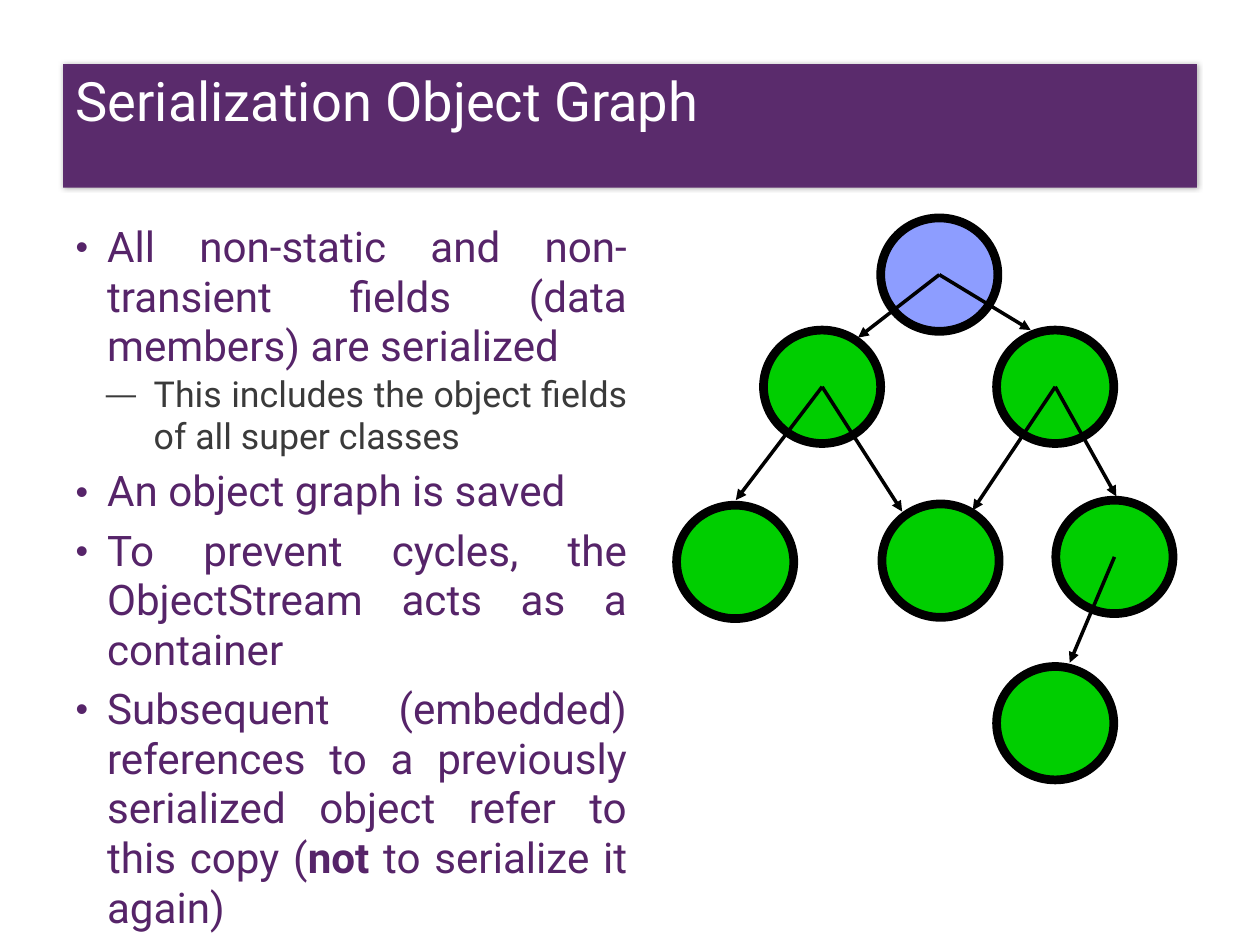
"""Build the Serialization Object Graph slide."""
from lxml.etree import SubElement
from pptx import Presentation
from pptx.dml.color import RGBColor as RGB
from pptx.enum.shapes import MSO_CONNECTOR as CONN, MSO_SHAPE as SHAPE
from pptx.enum.text import MSO_ANCHOR as ANCHOR, MSO_AUTO_SIZE as AUTO, PP_ALIGN as ALIGN
from pptx.oxml.ns import qn
from pptx.util import Inches, Pt

TITLE = "Serialization Object Graph"
BULLETS = [
    (0, ["All non-static and non-transient fields (data members) are serialized"]),
    (1, ["This includes the object fields of all super classes"]),
    (0, ["An object graph is saved"]),
    (0, ["To prevent cycles, the ObjectStream acts as a container"]),
    (0, ["Subsequent (embedded) references to a previously serialized object "
         "refer to this copy (", "not", " to serialize it again)"]),
]
NODES = {
    "root": (6.99, 1.73),
    "left": (6.06, 2.62),
    "right": (7.91, 2.62),
    "left leaf": (5.37, 4.01),
    "right child": (8.38, 3.97),
    "shared leaf": (7, 4),
    "last leaf": (7.91, 5.29),
}
ARROWS = [
    ("root", (6.81, 2.68)),
    ("root", (8.18, 2.62)),
    ("left", (5.84, 3.97)),
    ("left", (7.16, 4.06)),
    ("right", (7.72, 4.05)),
    ("right", (8.86, 3.94)),
    ("right child", (8.49, 5.26)),
]
NODE_W, NODE_H = 0.93, 0.9
THEME = {
    "font": "Roboto",
    "purple": RGB.from_string("562469"),
    "white": RGB.from_string("FFFFFF"),
    "black": RGB.from_string("000000"),
    "root": RGB.from_string("8D9DFF"),
    "node": RGB.from_string("00CE00"),
    "grey": RGB.from_string("3A3A3A"),
    "title_size": 31,
    "body_spacing": 0.98,
}
LEVELS = [
    {"char": "•", "left": 0.25, "hang": 0.25, "before": 5.5, "size": 24.1, "color": "purple"},
    {"char": "—", "left": 0.62, "hang": 0.38, "before": 1, "size": 20.4, "color": "grey"},
]


def place(sp, x, y, w, h):
    sp.left, sp.top, sp.width, sp.height = map(Inches, (x, y, w, h))


def add_xml(parent, tag, **attrs):
    return SubElement(parent, qn(tag), attrs)


def set_font(font, size, color):
    font.name, font.size = THEME["font"], Pt(size)
    font.color.rgb = THEME[color]


def add_title(slide):
    sp = slide.shapes.title
    place(sp, 0.5, 0.51, 9, 0.98)
    sp.fill.solid()
    sp.fill.fore_color.rgb = THEME["purple"]
    spPr = sp._element.spPr
    add_xml(spPr.find(".//" + qn("a:srgbClr")), "a:alpha", val="95000")
    sp.line.fill.background()
    shadow = add_xml(add_xml(spPr, "a:effectLst"), "a:outerShdw", blurRad="38100", dist="0")
    add_xml(add_xml(shadow, "a:srgbClr", val="000000"), "a:alpha", val="30000")
    tf = sp.text_frame
    tf.auto_size, tf.vertical_anchor = AUTO.NONE, ANCHOR.TOP
    tf.margin_top = 0
    tf.text = TITLE
    p = tf.paragraphs[0]
    p.alignment, p.line_spacing = ALIGN.LEFT, 1.05
    set_font(p.font, THEME["title_size"], "white")


def add_body(slide):
    sp = slide.placeholders[1]
    place(sp, 0.5, 1.72, 4.58, 5.52)
    tf = sp.text_frame
    tf.auto_size, tf.vertical_anchor = AUTO.NONE, ANCHOR.TOP
    for i, (level, texts) in enumerate(BULLETS):
        p = tf.add_paragraph() if i else tf.paragraphs[0]
        style = LEVELS[level]
        p.level, p.alignment = level, ALIGN.JUSTIFY
        p.line_spacing, p.space_before = THEME["body_spacing"], Pt(style["before"])
        pPr = p._p.get_or_add_pPr()
        pPr.set("marL", str(Inches(style["left"])))
        pPr.set("indent", str(-Inches(style["hang"])))
        add_xml(pPr, "a:buSzPct", val="85000")
        add_xml(pPr, "a:buChar", char=style["char"])
        set_font(p.font, style["size"], style["color"])
        for j, text in enumerate(texts):
            r = p.add_run()
            r.text = text
            if j == 1:
                r.font.bold = True


def add_graph(slide):
    for name, (x, y) in NODES.items():
        sp = slide.shapes.add_shape(SHAPE.OVAL, *map(Inches, (x, y, NODE_W, NODE_H)))
        sp.shadow.inherit = False
        sp.fill.solid()
        sp.fill.fore_color.rgb = THEME["root" if name == "root" else "node"]
        sp.line.color.rgb, sp.line.width = THEME["black"], Pt(5)
    for parent, tip in ARROWS:
        x, y = NODES[parent]
        start = (x + NODE_W / 2, y + NODE_H / 2)
        c = slide.shapes.add_connector(CONN.STRAIGHT, *map(Inches, start + tip))
        c.line.color.rgb, c.line.width = THEME["black"], Pt(2)
        spPr = c._element.spPr
        add_xml(spPr.find(qn("a:ln")), "a:tailEnd", type="triangle")
        add_xml(spPr, "a:effectLst")


def main():
    prs = Presentation()
    prs.slide_width, prs.slide_height = Inches(10), Inches(7.5)
    slide = prs.slides.add_slide(prs.slide_layouts[1])
    add_graph(slide)
    add_title(slide)
    add_body(slide)
    prs.save("out.pptx")


if __name__ == "__main__":
    main()
